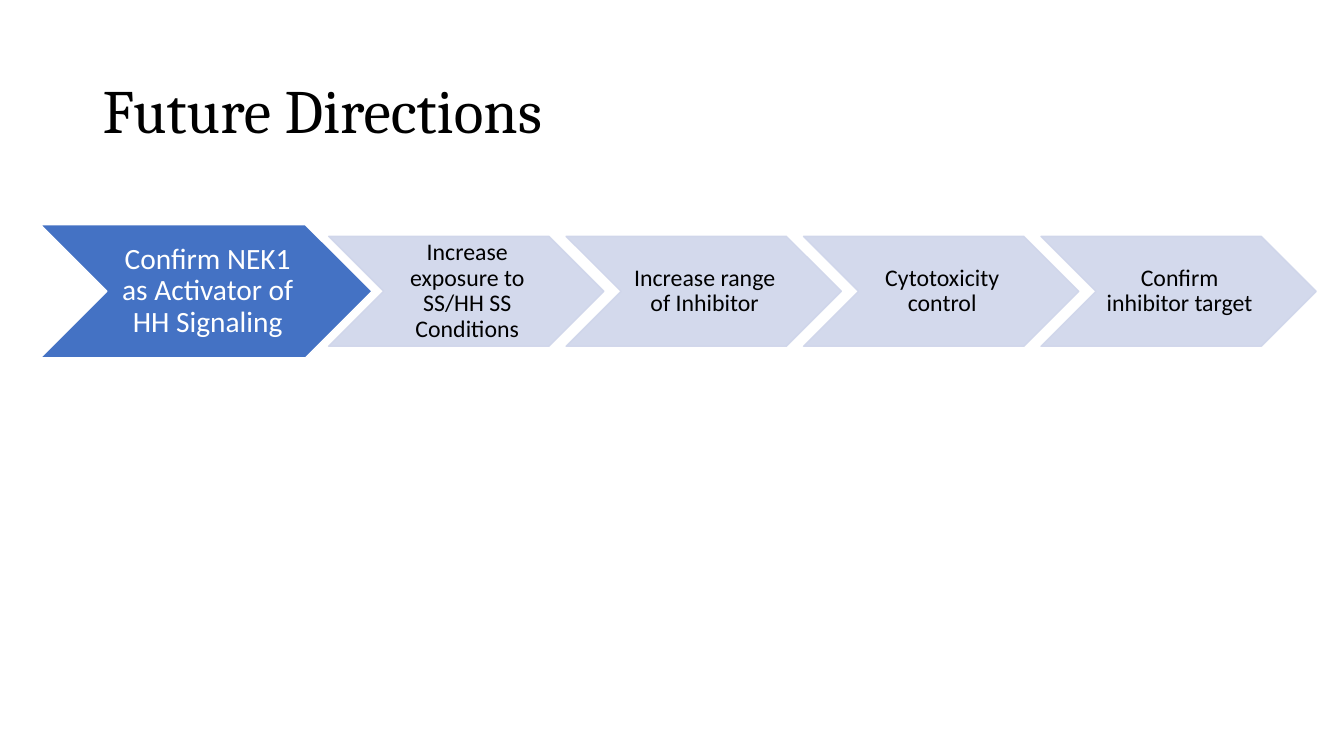
from dataclasses import dataclass

from lxml import etree
from pptx import Presentation
from pptx import util as u
from pptx.dml.color import RGBColor
from pptx.enum import shapes, text
from pptx.oxml.ns import qn


@dataclass(frozen=True)
class Theme:
    heading_font: str = "Cambria"
    body_font: str = "Calibri"
    title_size: float = 44
    lead_size: float = 21
    step_size: float = 17
    black: str = "000000"
    white: str = "FFFFFF"
    blue: str = "4472C4"
    pale: str = "CFD5EA"


@dataclass(frozen=True)
class Style:
    fill: str
    line: str
    color: str
    size: float
    inset: float
    alpha: int = 100


@dataclass(frozen=True)
class Step:
    label: str
    left: float
    width: float
    height: float
    style: Style


T = Theme()
LEAD = Style(T.blue, T.white, T.white, T.lead_size, 0.03)
NEXT = Style(T.pale, T.pale, T.black, T.step_size, 0.02, alpha=90)

ROW_MIDDLE = 2.89
NEXT_LEFT, NEXT_PITCH = 3.26, 2.355
NEXT_LABELS = (
    "Increase exposure to SS/HH SS Conditions",
    "Increase range of Inhibitor",
    "Cytotoxicity control",
    "Confirm inhibitor target",
)
STEPS = [Step("Confirm NEK1 as Activator of HH Signaling", 0.4, 3.29, 1.32, LEAD)]
STEPS += [
    Step(label, NEXT_LEFT + i * NEXT_PITCH, 2.73, 1.09, NEXT)
    for i, label in enumerate(NEXT_LABELS)
]


def set_alpha(sp, percent: int) -> None:
    """Make the fill and outline of a shape partly transparent."""
    for clr in sp._element.spPr.iter(qn("a:srgbClr")):
        etree.SubElement(clr, qn("a:alpha"), val=str(percent * 1000))


def write(tf, content: str, font: str, size: float, color: str, align, insets) -> None:
    """Fill a text frame; insets are the left, top, right and bottom margins."""
    left, top, right, bottom = map(u.Inches, insets)
    frame_format = {
        "word_wrap": True,
        "vertical_anchor": text.MSO_ANCHOR.MIDDLE,
        "margin_left": left,
        "margin_top": top,
        "margin_right": right,
        "margin_bottom": bottom,
    }
    p = tf.paragraphs[0]
    r = p.add_run()
    formats = (
        (tf, frame_format),
        (p, {"alignment": align, "line_spacing": 0.9}),
        (r, {"text": content}),
        (r.font, {"name": font, "size": u.Pt(size)}),
        (r.font.color, {"rgb": RGBColor.from_string(color)}),
    )
    for target, values in formats:
        for name, value in values.items():
            setattr(target, name, value)


def add_title(s, content: str) -> None:
    sp = s.shapes.add_textbox(*map(u.Inches, (0.92, 0.4, 11.5, 1.45)))
    write(sp.text_frame, content, T.heading_font, T.title_size, T.black,
          text.PP_ALIGN.LEFT, (0.1, 0.05, 0.1, 0.05))


def add_step(s, step: Step) -> None:
    top = ROW_MIDDLE - step.height / 2
    box = map(u.Inches, (step.left, top, step.width, step.height))
    sp = s.shapes.add_shape(shapes.MSO_SHAPE.CHEVRON, *box)
    st = step.style
    sp.shadow.inherit = False
    sp.fill.solid()
    sp.fill.fore_color.rgb = RGBColor.from_string(st.fill)
    sp.line.color.rgb = RGBColor.from_string(st.line)
    sp.line.width = u.Pt(1)
    if st.alpha < 100:
        set_alpha(sp, st.alpha)
    write(sp.text_frame, step.label, T.body_font, st.size, st.color,
          text.PP_ALIGN.CENTER, (st.inset, 0.01, 0, 0.01))


def main() -> None:
    prs = Presentation()
    prs.slide_width, prs.slide_height = u.Inches(13.33), u.Inches(7.5)
    s = prs.slides.add_slide(prs.slide_layouts[6])
    add_title(s, "Future Directions")
    for step in STEPS:
        add_step(s, step)
    prs.save("out.pptx")


if __name__ == "__main__":
    main()
